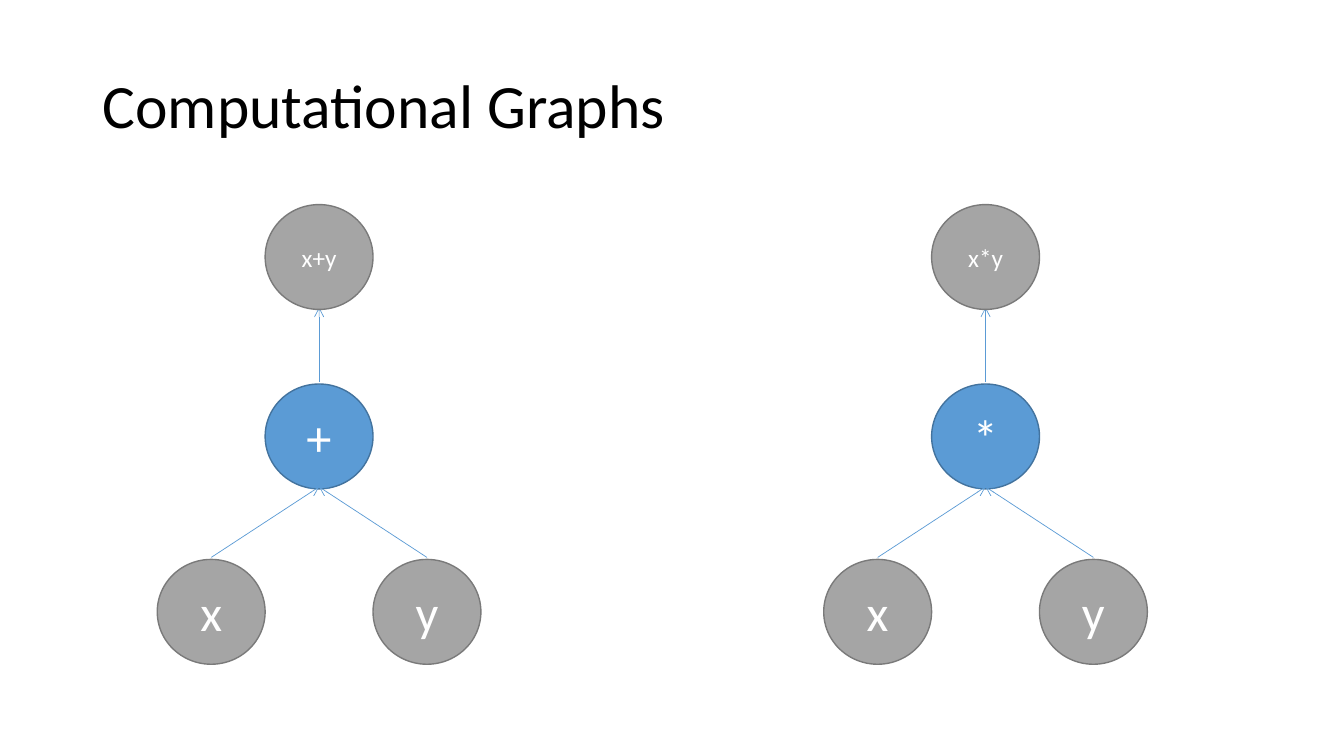
from lxml import etree
from pptx import Presentation
from pptx.dml.color import RGBColor
from pptx.enum.shapes import MSO_CONNECTOR, MSO_SHAPE
from pptx.enum.text import MSO_ANCHOR, PP_ALIGN
from pptx.oxml.ns import qn
from pptx.util import Inches, Pt

OVAL = MSO_SHAPE.OVAL
STRAIGHT = MSO_CONNECTOR.STRAIGHT
MIDDLE = MSO_ANCHOR.MIDDLE
CENTER = PP_ALIGN.CENTER

FONT = "Calibri"
BLUE, BLUE_EDGE = "5B9BD5", "43739E"
GRAY, GRAY_EDGE = "A5A5A5", "7A7A7A"
NODE_W, NODE_H = 1.07, 1.04
RESULT_Y, OPERATOR_Y, INPUT_Y = 0, 1.78, 3.52
GAP, OVERLAP = 0.02, 0.02


def rgb(value):
    return RGBColor.from_string(value)


def set_font(p, size, color):
    p.font.name = FONT
    p.font.size = Pt(size)
    p.font.color.rgb = rgb(color)


def add_title(s, text, left, top, width, height):
    tf = s.shapes.add_textbox(
        Inches(left), Inches(top), Inches(width), Inches(height)).text_frame
    tf.word_wrap = True
    tf.vertical_anchor = MIDDLE
    p = tf.paragraphs[0]
    p.text = text
    p.line_spacing = 0.9
    set_font(p, 44, "000000")


def add_node(s, text, left, top, size=36, fill=GRAY, edge=GRAY_EDGE):
    sp = s.shapes.add_shape(
        OVAL, Inches(left), Inches(top), Inches(NODE_W), Inches(NODE_H))
    sp.shadow.inherit = False
    sp.fill.solid()
    sp.fill.fore_color.rgb = rgb(fill)
    sp.line.color.rgb = rgb(edge)
    sp.line.width = Pt(1)
    tf = sp.text_frame
    tf.word_wrap = True
    tf.vertical_anchor = MIDDLE
    p = tf.paragraphs[0]
    p.text = text
    p.alignment = CENTER
    set_font(p, size, "FFFFFF")


def add_arrow(s, x1, y1, x2, y2):
    line = s.shapes.add_connector(
        STRAIGHT, Inches(x1), Inches(y1), Inches(x2), Inches(y2))
    line.line.color.rgb = rgb(BLUE)
    line.line.width = Pt(0.5)
    etree.SubElement(line.line._get_or_add_ln(), qn("a:tailEnd"), type="arrow")
    etree.SubElement(line._element.spPr, qn("a:effectLst"))


def add_graph(s, operator, left, top):
    middle = left + NODE_W
    center = middle + NODE_W / 2
    operator_top = top + OPERATOR_Y
    input_top = top + INPUT_Y
    add_node(s, operator, middle, operator_top, fill=BLUE, edge=BLUE_EDGE)
    inputs = (("x", left), ("y", left + 2 * NODE_W))
    for name, x in inputs:
        add_node(s, name, x, input_top)
    for name, x in inputs:
        add_arrow(s, x + NODE_W / 2, input_top - GAP,
                  center, operator_top + NODE_H - OVERLAP)
    add_arrow(s, center, operator_top - GAP,
              center, top + RESULT_Y + NODE_H - OVERLAP)
    add_node(s, f"x{operator}y", middle, top + RESULT_Y, size=18)


def main():
    prs = Presentation()
    prs.slide_width = Inches(13.33)
    prs.slide_height = Inches(7.5)
    s = prs.slides.add_slide(prs.slide_layouts[6])
    add_title(s, "Computational Graphs", 0.92, 0.35, 11.5, 1.45)
    for operator, left in (("+", 1.56), ("*", 8.17)):
        add_graph(s, operator, left, 2.03)
    prs.save("out.pptx")


if __name__ == "__main__":
    main()
